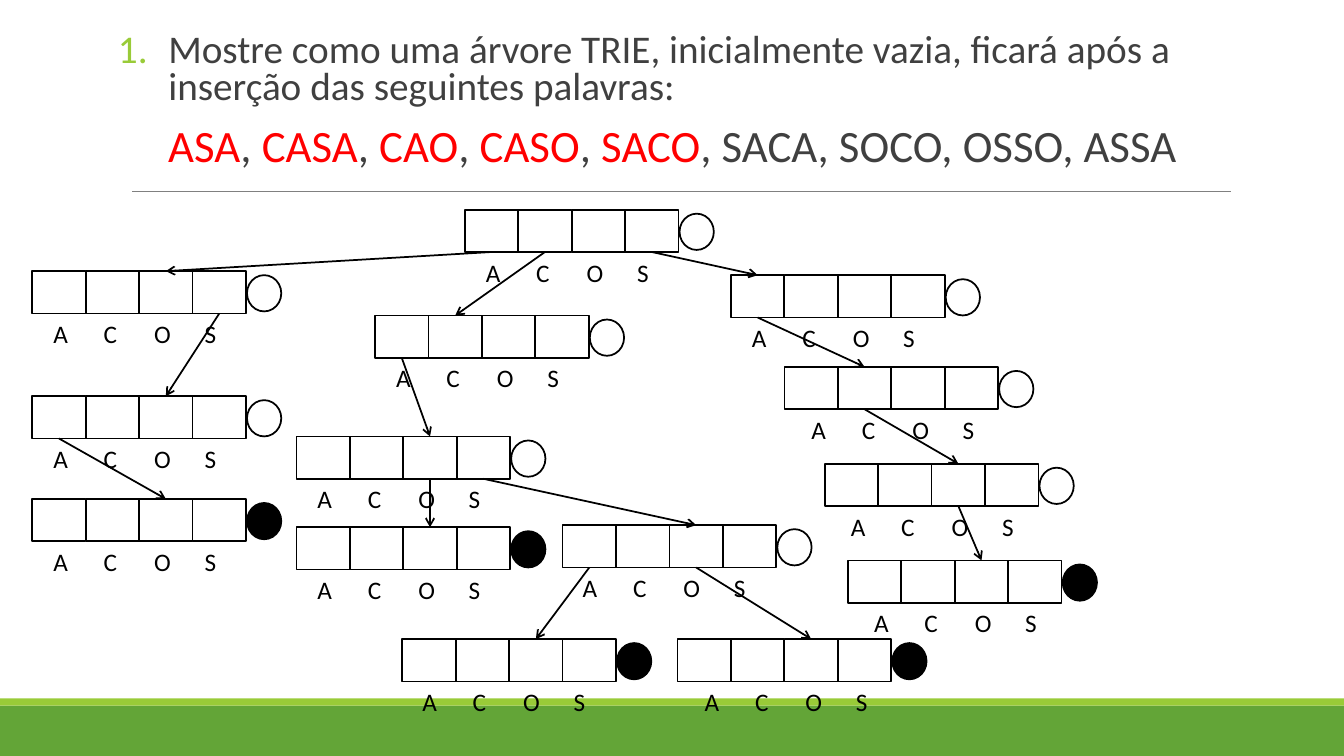
"""Builds the slide of a TRIE exercise: the word list and the tree after five insertions."""
from lxml.etree import SubElement
from pptx import Presentation
from pptx.dml.color import RGBColor
from pptx.enum.shapes import MSO_CONNECTOR as CONNECTOR, MSO_SHAPE as SHAPE
from pptx.enum.text import MSO_ANCHOR as ANCHOR, MSO_AUTO_SIZE as AUTO, PP_ALIGN as ALIGN
from pptx.oxml.ns import qn
from pptx.util import Pt

PX = 9144
COLORS = {"band": "63A537", "stripe": "99CB38", "rule": "808080",
          "text": "404040", "inserted": "FF0000", "ink": "000000"}
LETTERS = "ACOS"
CELL_W, CELL_H = 53, 42

deck = Presentation()
deck.slide_width, deck.slide_height = 1333 * PX, 750 * PX
slide = deck.slides.add_slide(deck.slide_layouts[6])
shapes = slide.shapes


def write(paragraph, text, size=18, color="ink"):
    run = paragraph.add_run()
    run.text = text
    run.font.name = "Calibri"
    run.font.size = Pt(size)
    run.font.color.rgb = RGBColor.from_string(COLORS[color])


def draw(kind, x, y, w, h, fill=None, line=None):
    shape = shapes.add_shape(kind, x * PX, y * PX, w * PX, h * PX)
    shape.shadow.inherit = False
    if fill:
        shape.fill.solid()
        shape.fill.fore_color.rgb = RGBColor.from_string(COLORS[fill])
    else:
        shape.fill.background()
    if line:
        shape.line.color.rgb = RGBColor.from_string(COLORS[line])
        shape.line.width = Pt(1.25)
    else:
        shape.line.fill.background()
    return shape


draw(SHAPE.RECTANGLE, 0, 700, 1333, 50, fill="band")
draw(SHAPE.RECTANGLE, 0, 693, 1333, 7, fill="stripe")
rule = shapes.add_connector(CONNECTOR.STRAIGHT, 131 * PX, 190 * PX, 1221 * PX, 190 * PX)
rule.line.color.rgb = RGBColor.from_string(COLORS["rule"])
rule.line.width = Pt(0.5)
SubElement(rule.element.spPr, qn("a:effectLst"))

exercise = shapes.add_textbox(117 * PX, 28 * PX, 1100 * PX, 163 * PX).text_frame
exercise.word_wrap = True
exercise.vertical_anchor = ANCHOR.TOP
exercise.margin_left = exercise.margin_right = 0
exercise.margin_top = exercise.margin_bottom = 5 * PX
question, words = exercise.paragraphs[0], exercise.add_paragraph()
for paragraph in (question, words):
    paragraph.line_spacing = 0.8
    paragraph.space_before, paragraph.space_after = Pt(12), Pt(2)

write(question, "Mostre como uma árvore TRIE, inicialmente vazia, ficará após a "
      "inserção das seguintes palavras:", size=28, color="text")
numbering = question._p.get_or_add_pPr()
numbering.set("marL", str(50 * PX))
numbering.set("indent", str(-50 * PX))
SubElement(SubElement(numbering, qn("a:buClr")), qn("a:srgbClr"), val=COLORS["stripe"])
SubElement(numbering, qn("a:buFont"), typeface="Calibri")
SubElement(numbering, qn("a:buAutoNum"), type="arabicPeriod")

words.alignment = ALIGN.CENTER
inserted = ["ASA", "CASA", "CAO", "CASO", "SACO"]
for word in inserted:
    write(words, word, size=32, color="inserted")
    write(words, ", " if word != inserted[-1] else ", SACA, SOCO, OSSO, ASSA",
          size=32, color="text")

# prefix: left, top, label offset
nodes = {
    "": (461, 208, 11),
    "A": (32, 269, 11), "AS": (32, 393, 11), "ASA": (32, 495, 11),
    "C": (372, 313, 11), "CA": (294, 433, 11), "CAS": (558, 521, 10),
    "CASA": (399, 634, 10), "CAO": (294, 523, 11), "CASO": (672, 634, 17),
    "S": (725, 273, 11), "SA": (778, 364, 17), "SAC": (818, 460, 16),
    "SACO": (841, 556, 16),
}
cells = {}
for prefix, (left, top, label_dx) in nodes.items():
    cells[prefix] = [draw(SHAPE.RECTANGLE, left + i * CELL_W, top, CELL_W, CELL_H, line="ink")
                     for i in range(len(LETTERS))]
    draw(SHAPE.OVAL, left + 213, top + 4, 34, 36,
         fill="ink" if prefix in inserted else None, line="ink")
    label = shapes.add_textbox((left + label_dx) * PX, (top + CELL_H) * PX,
                               182 * PX, 40 * PX).text_frame
    label.word_wrap = True
    label.auto_size = AUTO.SHAPE_TO_FIT_TEXT
    write(label.paragraphs[0], "\t".join(LETTERS))
    tabs = SubElement(label.paragraphs[0]._p.get_or_add_pPr(), qn("a:tabLst"))
    for stop in range(1, len(LETTERS)):
        SubElement(tabs, qn("a:tab"), pos=str(stop * 50 * PX), algn="l")

entry_cells = {"C": 1, "S": 0, "SA": 1}
for prefix in nodes:
    if prefix:
        branch = shapes.add_connector(CONNECTOR.STRAIGHT, 0, 0, 0, 0)
        branch.begin_connect(cells[prefix[:-1]][LETTERS.index(prefix[-1])], 2)
        branch.end_connect(cells[prefix][entry_cells.get(prefix, 2)], 0)
        branch.line.color.rgb = RGBColor.from_string(COLORS["ink"])
        branch.line.width = Pt(1.25)
        SubElement(branch.line._get_or_add_ln(), qn("a:tailEnd"), type="arrow")
        SubElement(branch.element.spPr, qn("a:effectLst"))

deck.save("out.pptx")
